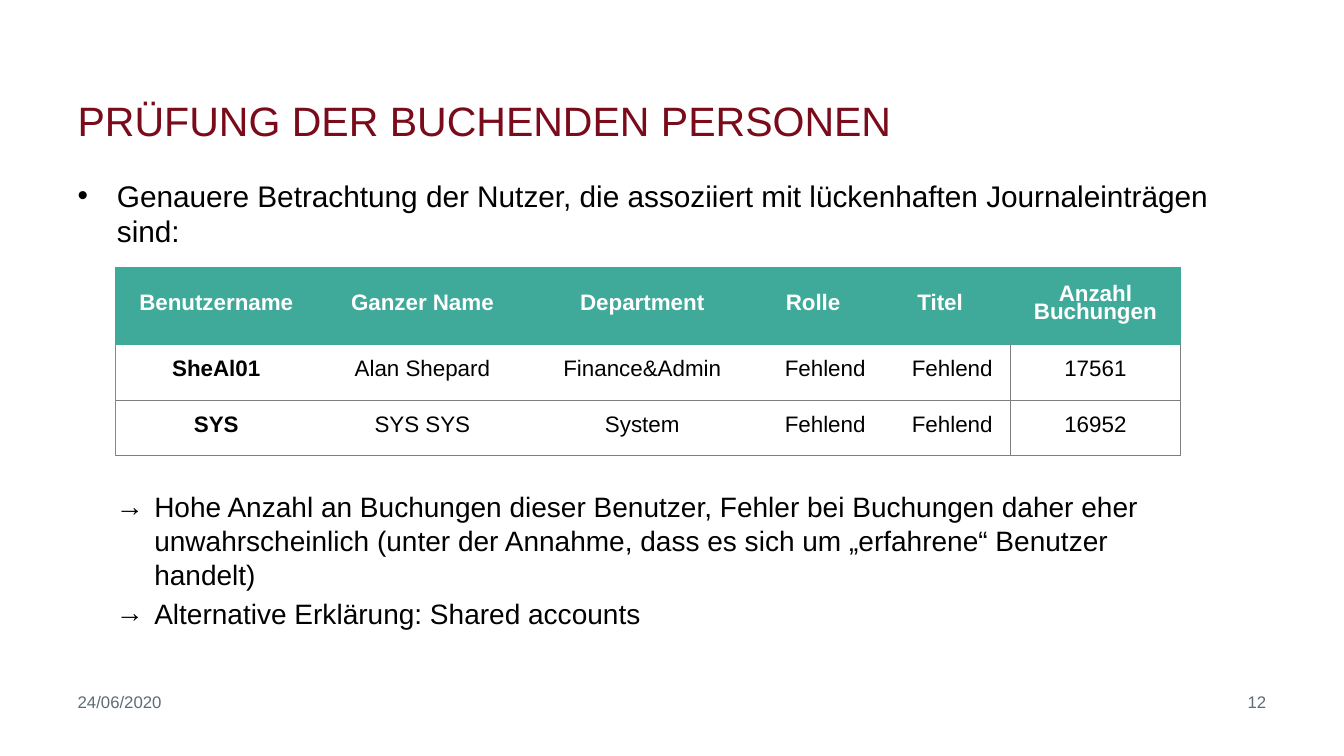
from lxml import etree
from pptx import Presentation
from pptx.dml.color import RGBColor
from pptx.enum.text import MSO_ANCHOR, PP_ALIGN
from pptx.oxml.ns import qn
from pptx.util import Pt

PX = 9144
FONT = "Arial"
MAROON = RGBColor(0x79, 0x0B, 0x1A)
TEAL = RGBColor(0x40, 0xAA, 0x9A)
GREY = RGBColor(0x7F, 0x7F, 0x7F)
SLATE = RGBColor(0x5D, 0x6C, 0x74)
BLACK = RGBColor(0, 0, 0)
WHITE = RGBColor(0xFF, 0xFF, 0xFF)
LEFT, CENTER, RIGHT = PP_ALIGN.LEFT, PP_ALIGN.CENTER, PP_ALIGN.RIGHT
TOP, MIDDLE, BOTTOM = MSO_ANCHOR.TOP, MSO_ANCHOR.MIDDLE, MSO_ANCHOR.BOTTOM

COLUMN_WIDTHS = [199, 210, 226, 113, 24, 115, 169]
ROW_HEIGHTS = [77, 55, 55]
USERS = [
    ["Benutzername", "Ganzer Name", "Department", "Rolle", "Titel", "", "Anzahl Buchungen"],
    ["SheAl01", "Alan Shepard", "Finance&Admin", "Fehlend", "", "Fehlend", "17561"],
    ["SYS", "SYS SYS", "System", "Fehlend", "", "Fehlend", "16952"],
]
MERGES = [(0, 4, 5), (1, 3, 4), (2, 3, 4)]
CONCLUSIONS = [
    "Hohe Anzahl an Buchungen dieser Benutzer, Fehler bei Buchungen daher eher "
    "unwahrscheinlich (unter der Annahme, dass es sich um „erfahrene“ Benutzer handelt)",
    "Alternative Erklärung: Shared accounts",
]


def add_span(para, text, size, color, bold=False):
    """Append one styled run to a paragraph."""
    span = para.add_run()
    span.text = text
    span.font.name = FONT
    span.font.size = Pt(size)
    span.font.bold = bold
    span.font.color.rgb = color


def set_bullet(para, symbol, indent):
    """Give a paragraph a bullet with a hanging indent."""
    props = para._p.get_or_add_pPr()
    props.set("marL", str(indent * PX))
    props.set("indent", str(-indent * PX))
    font = etree.SubElement(props, qn("a:buFont"))
    font.set("typeface", FONT)
    etree.SubElement(props, qn("a:buChar")).set("char", symbol)


def add_text(page, place, texts, size, color, align=LEFT, anchor=TOP,
             bullet=None, indent=0, space=0):
    """Add a text box with one paragraph for each text."""
    box = page.shapes.add_textbox(*(value * PX for value in place))
    frame = box.text_frame
    frame.word_wrap = True
    frame.vertical_anchor = anchor
    frame.margin_left = frame.margin_right = frame.margin_top = frame.margin_bottom = 0
    for index, text in enumerate(texts):
        para = frame.add_paragraph() if index else frame.paragraphs[0]
        para.alignment = align
        para.space_before = Pt(space)
        if bullet:
            set_bullet(para, bullet, indent)
        add_span(para, text, size, color)


def set_borders(cell, colors):
    """Draw the left, right, top and bottom borders, or hide those without a colour."""
    props = cell._tc.get_or_add_tcPr()
    for side, color in zip("LRTB", colors):
        line = etree.SubElement(props, qn(f"a:ln{side}"))
        line.set("w", str(Pt(0.75)))
        if color is None:
            etree.SubElement(line, qn("a:noFill"))
        else:
            fill = etree.SubElement(line, qn("a:solidFill"))
            etree.SubElement(fill, qn("a:srgbClr")).set("val", str(color))


def border_colors(row, column):
    """Return the border colours of the cell at a row and column."""
    last = len(COLUMN_WIDTHS) - 1
    if row == 0:
        return (TEAL if column == 0 else None, TEAL if column == last else None, TEAL, TEAL)
    left = {0: TEAL, last: GREY}.get(column)
    right = GREY if column >= last - 1 else None
    return left, right, TEAL if row == 1 else GREY, GREY


def fill_cell(cell, text, row, column):
    """Style one table cell and write its text."""
    set_borders(cell, border_colors(row, column))
    if row == 0:
        cell.fill.solid()
        cell.fill.fore_color.rgb = TEAL
    else:
        cell.fill.background()
    cell.vertical_anchor = MIDDLE
    cell.margin_left = cell.margin_right = 7 * PX
    cell.margin_top = cell.margin_bottom = 0
    if text:
        para = cell.text_frame.paragraphs[0]
        para.alignment = CENTER
        para.line_spacing = Pt(13)
        add_span(para, text, 16, BLACK if row else WHITE, row == 0 or column == 0)


def add_user_table(page, left, top):
    """Add the table of booking users."""
    frame = page.shapes.add_table(
        len(ROW_HEIGHTS), len(COLUMN_WIDTHS), left * PX, top * PX,
        sum(COLUMN_WIDTHS) * PX, sum(ROW_HEIGHTS) * PX)
    table = frame.table
    table.horz_banding = False
    for column, width in zip(table.columns, COLUMN_WIDTHS):
        column.width = width * PX
    for row, height in zip(table.rows, ROW_HEIGHTS):
        row.height = height * PX
    for row, start, end in MERGES:
        table.cell(row, start).merge(table.cell(row, end))
    for row, texts in enumerate(USERS):
        for column, text in enumerate(texts):
            fill_cell(table.cell(row, column), text, row, column)


def main():
    """Build the slide and save it."""
    deck = Presentation()
    deck.slide_width = 1333 * PX
    deck.slide_height = 750 * PX
    page = deck.slides.add_slide(deck.slide_layouts[6])
    add_text(page, (77, 39, 915, 105), ["PRÜFUNG DER BUCHENDEN PERSONEN"],
             29.3, MAROON, anchor=BOTTOM)
    add_text(page, (77, 176, 1156, 80),
             ["Genauere Betrachtung der Nutzer, die assoziiert mit lückenhaften "
              "Journaleinträgen sind:"],
             21.3, BLACK, bullet="•", indent=39, space=5.3)
    add_user_table(page, 115, 265)
    add_text(page, (115, 486, 1055, 140), CONCLUSIONS, 20, BLACK,
             bullet="→", indent=38, space=4)
    add_text(page, (77, 686, 278, 25), ["24/06/2020"], 12, SLATE)
    add_text(page, (990, 686, 266, 25), ["12"], 12, SLATE, align=RIGHT)
    deck.save("out.pptx")


if __name__ == "__main__":
    main()
